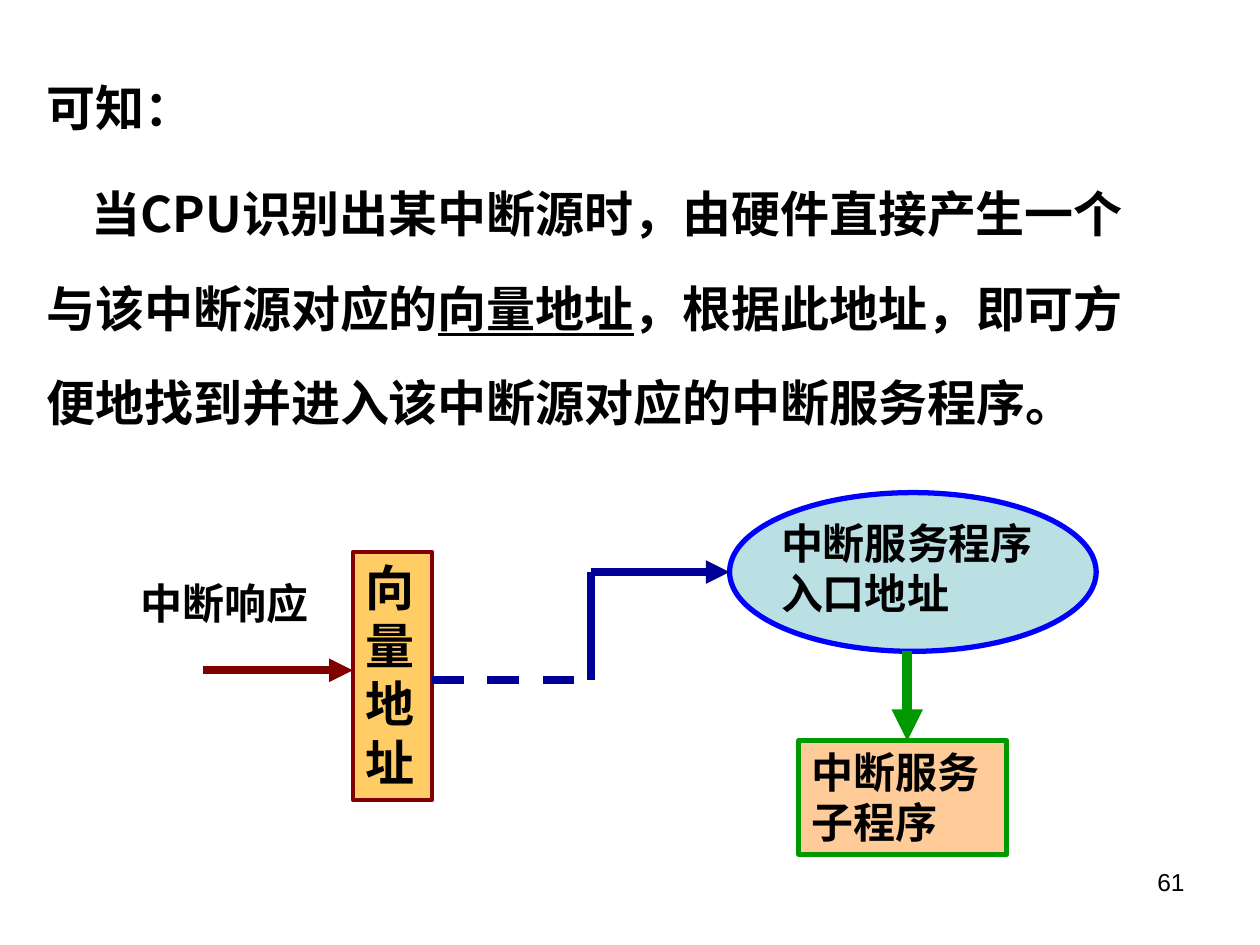
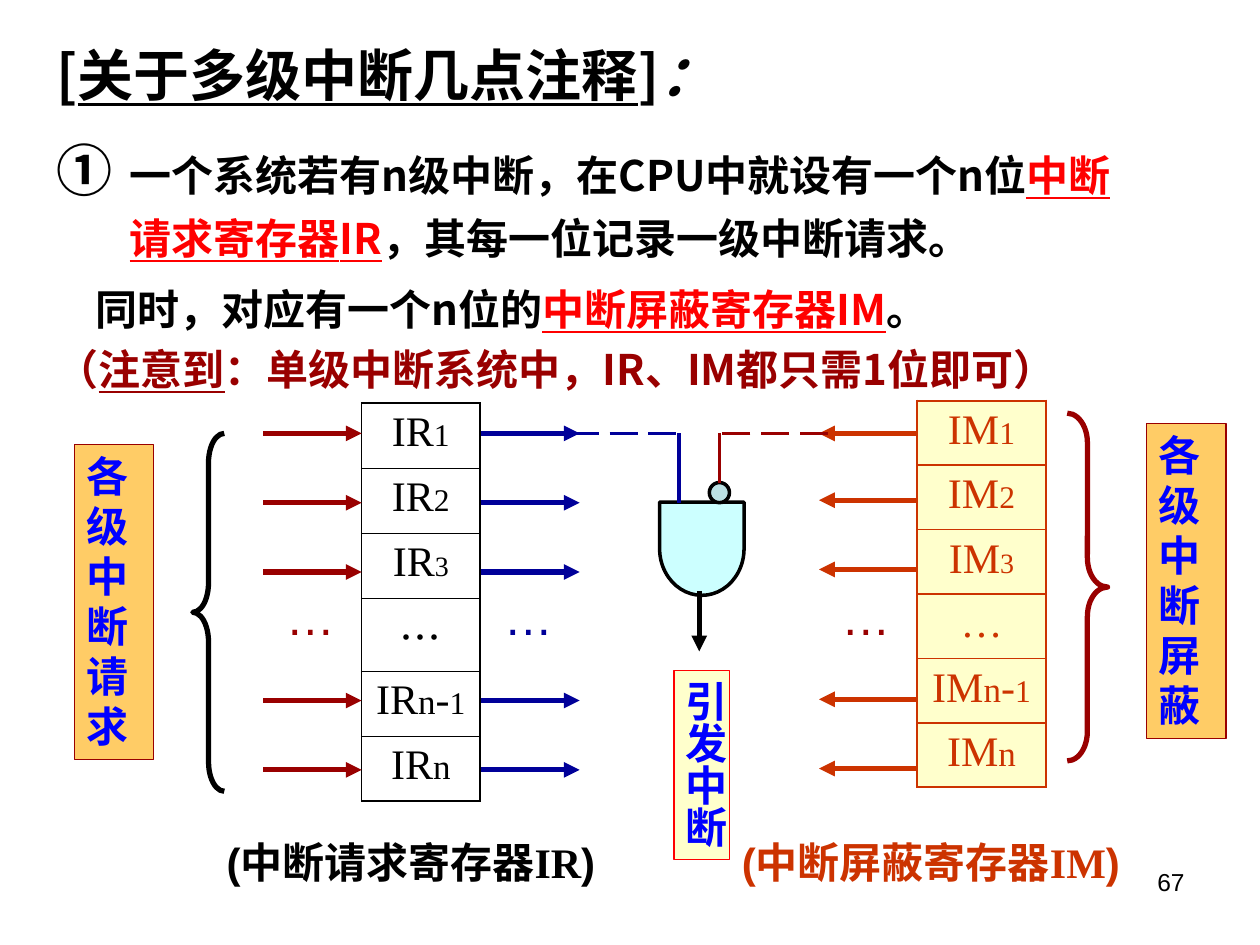
from dataclasses import dataclass
from typing import NamedTuple, Optional, Union

import pptx
import pptx.dml.color
import pptx.enum.dml
import pptx.enum.shapes
import pptx.enum.text
import pptx.oxml
import pptx.oxml.ns
import pptx.util

Inches, Pt, qn = pptx.util.Inches, pptx.util.Pt, pptx.oxml.ns.qn
MSO = pptx.enum.shapes.MSO_SHAPE
DASH = pptx.enum.dml.MSO_LINE
ALIGN = pptx.enum.text.PP_ALIGN
ANCHOR = pptx.enum.text.MSO_ANCHOR

CJK, ARIAL, TIMES = "Noto Sans CJK SC", "Arial", "Times New Roman"
COLORS = {
    "black": "000000", "red": "FF0000", "blue": "0000FF", "navy": "000099",
    "maroon": "800000", "crimson": "990000", "rust": "CC3300", "green": "009900",
    "sky": "BBE0E3", "cyan": "CCFFFF", "amber": "FFCC66", "peach": "FFCC99",
    "cream": "FFFFCC",
}
LINE_24, LINE_28 = Pt(28.6), Pt(33.3)


class Box(NamedTuple):
    x: float
    y: float
    w: float
    h: float


class Run(NamedTuple):
    text: str
    size: Optional[float] = None
    color: Optional[str] = None
    underline: Optional[bool] = None
    italic: Optional[bool] = None
    font: Optional[str] = None


@dataclass
class Para:
    runs: list[Run]
    size: float = 24
    color: str = "black"
    bold: bool = True
    font: str = CJK
    ea: str = CJK
    spacing: Union[float, int, None] = LINE_24
    before: float = 0
    margin: float = 0
    indent: float = 0
    align: ALIGN = ALIGN.LEFT


@dataclass
class Line:
    start: tuple[float, float]
    end: tuple[float, float]
    color: str
    width: float
    arrow: bool = False
    dash: Optional[DASH] = None


@dataclass
class Register:
    name: str
    box: Box
    color: str
    fill: Optional[str]
    outer: float
    inner: float
    dots_font: str
    dots_height: float


def rgb(name: str):
    return pptx.dml.color.RGBColor.from_string(COLORS[name])


def sub(parent, tag: str, **attrs: str):
    el = parent.makeelement(qn(tag), attrs)
    parent.append(el)
    return el


# Text
def write_para(p, para: Para) -> None:
    p.alignment = para.align
    if para.spacing is not None:
        p.line_spacing = para.spacing
    if para.before:
        p.space_before = Pt(para.before)
    pPr = p._p.get_or_add_pPr()
    pPr.set("marL", str(Inches(para.margin)))
    pPr.set("indent", str(Inches(para.indent)))
    p.font.size, p.font.bold, p.font.name = Pt(para.size), para.bold, para.font
    p.font.color.rgb = rgb(para.color)
    sub(pPr.find(qn("a:defRPr")), "a:ea", typeface=para.ea)
    for run in para.runs:
        r = p.add_run()
        r.text = run.text
        if run.size:
            r.font.size = Pt(run.size)
        if run.color:
            r.font.color.rgb = rgb(run.color)
        if run.underline:
            r.font.underline = True
        if run.italic:
            r.font.italic = True
        if run.font:
            r.font.name = run.font


def write(tf, paras: list[Para], insets=(0.1, 0.05, 0.1, 0.05), wrap: bool = True,
          anchor=ANCHOR.TOP) -> None:
    tf.word_wrap, tf.vertical_anchor = wrap, anchor
    tf.margin_left, tf.margin_top, tf.margin_right, tf.margin_bottom = map(Inches, insets)
    for i, para in enumerate(paras):
        write_para(tf.add_paragraph() if i else tf.paragraphs[0], para)


def add_text(slide, box: Box, *paras: Para, **kw) -> None:
    write(slide.shapes.add_textbox(*map(Inches, box)).text_frame, list(paras), **kw)


# Shapes and lines
def add_shape(slide, kind, box: Box, fill: Optional[str], line: str, width: float):
    sp = slide.shapes.add_shape(kind, *map(Inches, box))
    sp.shadow.inherit = False
    if fill:
        sp.fill.solid()
        sp.fill.fore_color.rgb = rgb(fill)
    else:
        sp.fill.background()
    sp.line.color.rgb = rgb(line)
    sp.line.width = Pt(width)
    return sp


def add_line(slide, line: Line) -> None:
    cx = slide.shapes.add_connector(pptx.enum.shapes.MSO_CONNECTOR.STRAIGHT,
                                    *map(Inches, line.start + line.end))
    cx.line.color.rgb = rgb(line.color)
    cx.line.width = Pt(line.width)
    if line.dash:
        cx.line.dash_style = line.dash
    if line.arrow:
        sub(cx.line._get_or_add_ln(), "a:tailEnd", type="triangle")
    sub(cx._element.spPr, "a:effectLst")


def add_brace(slide, kind, box: Box, color: str, curve: float) -> None:
    brace = add_shape(slide, kind, box, None, color, 3)
    brace.adjustments[0] = curve


# Register tables
def set_border(cell, side: str, color: str, width: float) -> None:
    ln = sub(cell._tc.get_or_add_tcPr(), f"a:{side}", w=str(Pt(width)))
    sub(sub(ln, "a:solidFill"), "a:srgbClr", val=COLORS[color])


def add_register(slide, reg: Register) -> None:
    n = reg.name
    rows = [[Run(n), Run("1", 18)], [Run(n), Run("2", 18)], [Run(n), Run("3", 16)],
            [Run("…")], [Run(n), Run("n", 20), Run("-"), Run("1", 18)],
            [Run(n), Run("n", 20)]]
    table = slide.shapes.add_table(len(rows), 1, *map(Inches, reg.box)).table
    table.first_row = table.horz_banding = False
    row_height = (reg.box.h - reg.dots_height) / (len(rows) - 1)
    for i, runs in enumerate(rows):
        is_dots = runs[0].text == "…"
        table.rows[i].height = Inches(reg.dots_height if is_dots else row_height)
        cell = table.cell(i, 0)
        cell.margin_left = cell.margin_right = Inches(0.1)
        cell.margin_top = cell.margin_bottom = Inches(0.05)
        font = reg.dots_font if is_dots else TIMES
        write_para(cell.text_frame.paragraphs[0],
                   Para(runs, color=reg.color, bold=False, font=font, ea=font,
                        spacing=None, align=ALIGN.CENTER))
        top = reg.inner if i else reg.outer
        bottom = reg.inner if i < len(rows) - 1 else reg.outer
        for side, width in (("lnL", reg.outer), ("lnR", reg.outer),
                            ("lnT", top), ("lnB", bottom)):
            set_border(cell, side, reg.color, width)
        if reg.fill:
            cell.fill.solid()
            cell.fill.fore_color.rgb = rgb(reg.fill)
        else:
            cell.fill.background()


def add_arrows(slide, x1: float, x2: float, ys: list[float], color: str) -> None:
    for y in ys:
        add_line(slide, Line((x1, y), (x2, y), color, 3, True))


def new_slide(prs, number: int):
    slide = prs.slides.add_slide(prs.slide_layouts[6])
    add_text(slide, Box(7.17, 6.83, 2.33, 0.52),
             Para([Run(str(number))], size=14, bold=False, font=ARIAL,
                  spacing=None, align=ALIGN.RIGHT))
    return slide


def build_vector_slide(prs) -> None:
    slide = new_slide(prs, 61)
    add_text(
        slide, Box(0.27, 0.28, 9.11, 3.19),
        Para([Run("可知：")], size=28, spacing=Pt(54)),
        Para([Run("当CPU识别出某中断源时，由硬件直接产生一个与该中断源对应的"),
              Run("向量地址", underline=True),
              Run("，根据此地址，即可方便地找到并进入该中断源对应的中断服务程序。")],
             size=28, spacing=Pt(54), before=7, indent=0.36))

    # Flow from response to service routine
    add_shape(slide, MSO.OVAL, Box(5.79, 3.91, 2.91, 1.26), "sky", "blue", 3)
    vector = add_shape(slide, MSO.RECTANGLE, Box(2.8, 4.38, 0.63, 1.97),
                       "amber", "maroon", 2.25)
    write(vector.text_frame, [Para([Run("向量地址")], size=28, font=ARIAL, spacing=LINE_28)])
    for line in (
        Line((1.61, 5.32), (2.8, 5.32), "maroon", 4.5, True),
        Line((3.43, 5.4), (4.69, 5.4), "navy", 4.5, dash=DASH.DASH),
        Line((4.69, 5.4), (4.69, 4.54), "navy", 4.5),
        Line((4.69, 4.54), (5.79, 4.54), "navy", 4.5, True),
        Line((7.2, 5.17), (7.2, 5.88), "green", 6, True),
    ):
        add_line(slide, line)
    routine = add_shape(slide, MSO.RECTANGLE, Box(6.34, 5.88, 1.65, 0.9),
                        "peach", "green", 3)
    write(routine.text_frame, [Para([Run("中断服务子程序")], font=ARIAL)])
    add_text(slide, Box(6.1, 4.06, 2.28, 0.9),
             Para([Run("中断服务程序入口地址")], font=ARIAL))
    add_text(slide, Box(1.02, 4.54, 1.65, 0.5), Para([Run("中断响应")], font=ARIAL))


def build_register_slide(prs) -> None:
    slide = new_slide(prs, 67)
    # Title and notes
    add_text(slide, Box(0.35, 0.28, 8.5, 0.62),
             Para([Run("["), Run("关于多级中断几点注释", underline=True),
                   Run("]"), Run("：", italic=True)], size=32, spacing=Pt(38)),
             anchor=ANCHOR.MIDDLE)
    add_text(
        slide, Box(0.35, 1.08, 8.79, 2.12),
        Para([Run("①\t", 32), Run("一个系统若有n级中断，在CPU中就设有一个n位"),
              Run("中断请求寄存器IR", color="red", underline=True),
              Run("，其每一位记录一级中断请求。")],
             spacing=Pt(34.5), margin=0.58, indent=-0.58),
        Para([Run("同时，对应有一个n位的"),
              Run("中断屏蔽寄存器IM", color="red", underline=True), Run("。")],
             spacing=Pt(34.5), before=6, margin=0.31),
        Para([Run("（"), Run("注意到", underline=True),
              Run("：单级中断系统中，IR、IM都只需1位即可）")],
             color="crimson", spacing=Pt(28.3), before=6))

    # Registers with their arrows
    add_register(slide, Register("IR", Box(2.87, 3.2, 0.94, 3.16), "black", None,
                                 1.08, 0.45, CJK, 0.58))
    add_register(slide, Register("IM", Box(7.28, 3.18, 1.02, 3.07), "rust", "cream",
                                 1.47, 1.08, TIMES, 0.51))
    request_ys = [3.44, 3.99, 4.54, 5.56, 6.11]
    add_arrows(slide, 2.09, 2.87, request_ys, "crimson")
    add_arrows(slide, 3.82, 4.6, request_ys, "navy")
    add_arrows(slide, 7.28, 6.5, [3.44, 3.97, 4.52, 5.55, 6.1], "rust")
    for x, color in ((2.17, "crimson"), (3.9, "navy"), (6.58, "crimson")):
        add_text(slide, Box(x, 4.77, 0.59, 0.38),
                 Para([Run("…")], size=28, color=color, bold=False, font=ARIAL,
                      ea=ARIAL, spacing=0.6), wrap=False)

    # Braces, side labels and captions
    add_brace(slide, MSO.LEFT_BRACE, Box(1.53, 3.44, 0.25, 2.84), "black", 0.93)
    add_brace(slide, MSO.RIGHT_BRACE, Box(8.47, 3.28, 0.32, 2.76), "crimson", 0.73)
    for x, y, label in ((0.59, 3.53, "各级中断请求"), (9.1, 3.36, "各级中断屏蔽")):
        side = add_shape(slide, MSO.RECTANGLE, Box(x, y, 0.63, 2.5), "amber", "crimson", 0.75)
        write(side.text_frame, [Para([Run(label)], color="blue")])
    for x, label, name, color in ((1.7, "(中断请求寄存器", "IR", "black"),
                                  (5.79, "(中断屏蔽寄存器", "IM", "rust")):
        add_text(slide, Box(x, 6.59, 3.5, 0.5),
                 Para([Run(label), Run(name, font=TIMES), Run(")")],
                      color=color, font=ARIAL))

    # Gate that raises the interrupt
    gate = add_shape(slide, MSO.FLOWCHART_DELAY, Box(5.2, 4.02, 0.74, 0.67),
                     "cyan", "black", 2)
    gate.rotation = 90
    add_shape(slide, MSO.OVAL, Box(5.63, 3.83, 0.16, 0.16), "sky", "black", 2)
    for line in (
        Line((6.57, 3.44), (5.71, 3.44), "crimson", 2, dash=DASH.LONG_DASH),
        Line((5.71, 3.44), (5.71, 3.83), "crimson", 2),
        Line((4.53, 3.44), (5.39, 3.44), "navy", 2, dash=DASH.LONG_DASH),
        Line((5.39, 3.44), (5.39, 3.99), "navy", 2),
        Line((5.55, 4.69), (5.55, 5.17), "black", 3, True),
    ):
        add_line(slide, line)
    result = add_shape(slide, MSO.RECTANGLE, Box(5.35, 5.32, 0.44, 1.5), "cream", "red", 0.75)
    write(result.text_frame, [Para([Run("引发中断")], color="blue")], insets=(0, 0.08, 0, 0.02))
    result.text_frame._txBody.bodyPr.set("vert", "eaVert")


def main() -> None:
    prs = pptx.Presentation()
    prs.slide_width, prs.slide_height = Inches(10), Inches(7.5)
    build_vector_slide(prs)
    build_register_slide(prs)
    prs.save("out.pptx")


if __name__ == "__main__":
    main()
